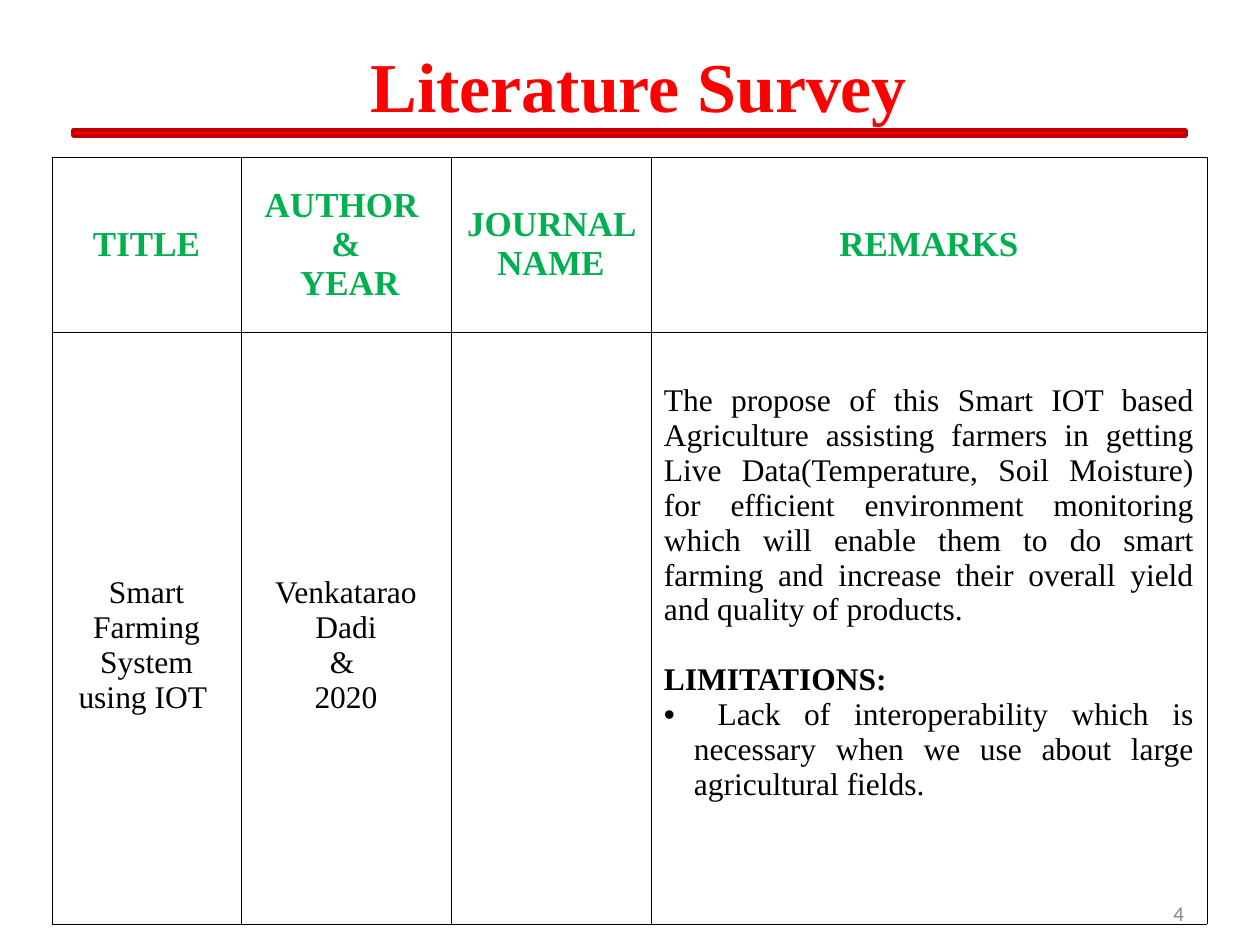
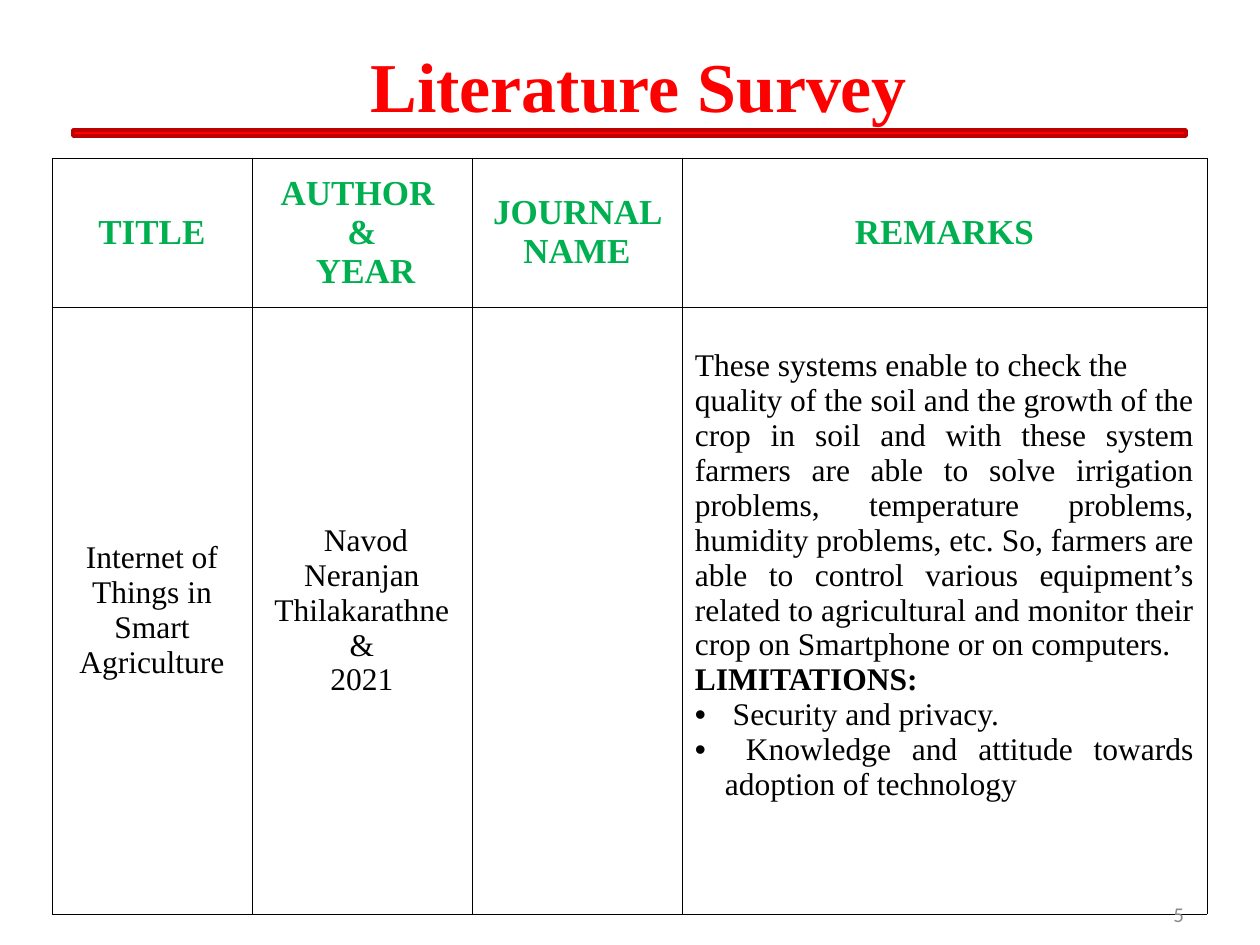
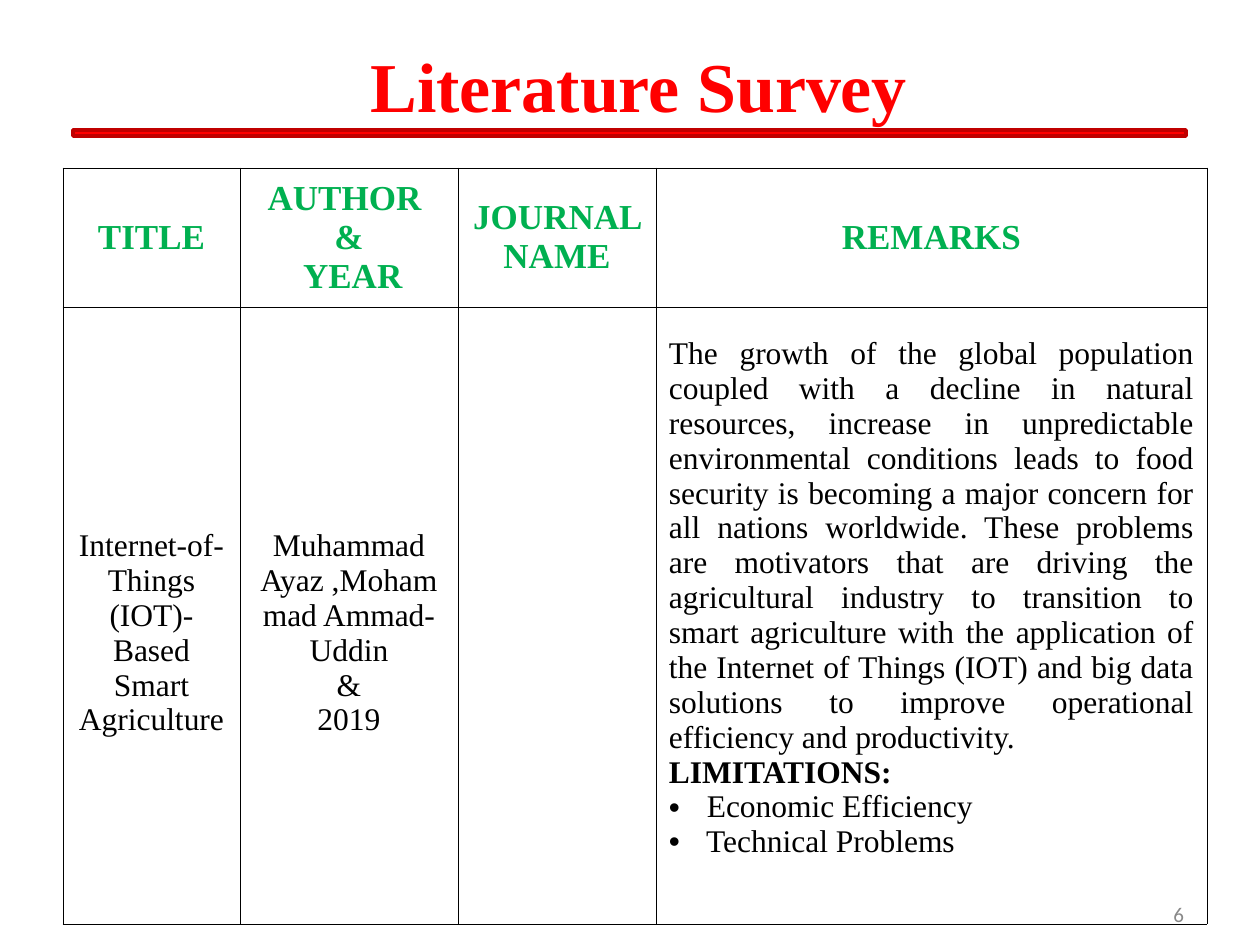
from pptx import Presentation
from pptx.dml.color import RGBColor
from pptx.enum.shapes import MSO_SHAPE
from pptx.enum.text import MSO_ANCHOR, MSO_AUTO_SIZE, PP_ALIGN
from pptx.oxml.ns import qn
from pptx.util import Emu, Pt
from lxml import etree

RED = RGBColor(0xFF, 0x00, 0x00)
DARK_RED = RGBColor(0xC0, 0x00, 0x00)
GREEN = RGBColor(0x00, 0xB0, 0x50)
BLACK = RGBColor(0x00, 0x00, 0x00)
GRAY = RGBColor(0x89, 0x89, 0x89)

RECTANGLE = MSO_SHAPE.RECTANGLE
MIDDLE = MSO_ANCHOR.MIDDLE
NO_AUTOFIT = MSO_AUTO_SIZE.NONE
CENTER = PP_ALIGN.CENTER
RIGHT = PP_ALIGN.RIGHT
JUSTIFY = PP_ALIGN.JUSTIFY

SERIF = "Times New Roman"
SANS = "Calibri"
EMU_PER_PX = 914400 / 126
BODY_LINE = 35
SIDE_INSET = 13
EDGE_INSET = 6
BULLET_INDENT = 30

HEADERS = [["TITLE"], ["AUTHOR ", "&", " YEAR"], ["JOURNAL NAME"], ["REMARKS"]]

SURVEYS = [
    {
        "page": 4,
        "number_box": (903, 882, 294, 63),
        "number_lead": 0,
        "origin": (52, 157),
        "columns": [189, 210, 200, 556],
        "rows": [175, 592],
        "work": ["Smart Farming System using IOT "],
        "work_lead": 1,
        "authors": ["Venkatarao Dadi", "& ", "2020"],
        "author_lead": 1,
        "remarks": [
            "The propose of this Smart IOT based Agriculture assisting farmers in "
            "getting Live Data(Temperature, Soil Moisture) for efficient environment "
            "monitoring which will enable them to do smart farming and increase their "
            "overall yield and quality of products."
        ],
        "limits_gap": 20,
        "limits": [
            " Lack of interoperability which is necessary when we use about large "
            "agricultural fields."
        ],
        "remarks_tail": 2,
    },
    {
        "page": 5,
        "number_box": (903, 876, 294, 50),
        "number_lead": 26,
        "origin": (52, 158),
        "columns": [200, 220, 210, 525],
        "rows": [149, 607],
        "work": ["Internet of Things in Smart Agriculture"],
        "work_lead": 0,
        "authors": [" Navod Neranjan Thilakarathne", "&", "2021"],
        "author_lead": 0,
        "remarks": [
            "These systems enable to check the ",
            "quality of the soil and the growth of the crop in soil and with these "
            "system farmers are able to solve irrigation problems, temperature "
            "problems, humidity problems, etc. So, farmers are able to control various "
            "equipment’s related to agricultural and monitor their crop on Smartphone "
            "or on computers.",
        ],
        "limits_gap": 0,
        "limits": [
            " Security and privacy.",
            " Knowledge and attitude towards adoption of technology",
        ],
        "remarks_tail": 2,
    },
    {
        "page": 6,
        "number_box": (903, 876, 294, 50),
        "number_lead": 26,
        "origin": (63, 168),
        "columns": [177, 218, 198, 551],
        "rows": [139, 617],
        "work": ["Internet-of-Things (IOT)-Based Smart Agriculture"],
        "work_lead": 1,
        "authors": ["Muhammad Ayaz ,Mohammad Ammad-Uddin", "&", "2019"],
        "author_lead": 1,
        "remarks": [
            "The growth of the global population coupled with a decline in natural "
            "resources, increase in unpredictable environmental conditions leads to "
            "food security is becoming a major concern for all nations worldwide. "
            "These problems are motivators that are driving the agricultural industry "
            "to transition to smart agriculture with the application of the Internet "
            "of Things (IOT) and big data solutions to improve operational efficiency "
            "and productivity."
        ],
        "limits_gap": 0,
        "limits": [" Economic Efficiency", " Technical Problems"],
        "remarks_tail": 1,
    },
]


def px(length):
    return Emu(round(length * EMU_PER_PX))


def write(para, text, font=SERIF, size=18, color=BLACK, bold=False, italic=False,
          align=CENTER, before=0):
    para.alignment = align
    para.space_before = Pt(before)
    span = para.add_run()
    span.text = text
    span.font.name = font
    span.font.size = Pt(size)
    span.font.color.rgb = color
    span.font.bold = bold
    span.font.italic = italic


def next_para(frame):
    first = frame.paragraphs[0]
    return frame.add_paragraph() if first.runs else first


def write_lines(frame, lines, **text_format):
    for line in lines:
        write(next_para(frame), line, **text_format)


def add_bullet(para):
    properties = para._p.get_or_add_pPr()
    properties.set("marL", str(px(BULLET_INDENT)))
    properties.set("indent", str(-px(BULLET_INDENT)))
    etree.SubElement(properties, qn("a:buFont")).set("typeface", "Arial")
    etree.SubElement(properties, qn("a:buChar")).set("char", "•")


def add_title(slide):
    title = slide.shapes.title
    title.left, title.top, title.width, title.height = map(px, (63, 0, 1134, 168))
    frame = title.text_frame
    frame.auto_size = NO_AUTOFIT
    frame.vertical_anchor = MIDDLE
    heading = {"size": 40, "color": RED, "bold": True}
    write(frame.paragraphs[0], " ", italic=True, **heading)
    write(frame.paragraphs[0], "Literature Survey", **heading)


def add_rule(slide):
    rule = slide.shapes.add_shape(RECTANGLE, *map(px, (73, 130, 1113, 6)))
    rule.shadow.inherit = False
    rule.fill.solid()
    rule.fill.fore_color.rgb = RED
    rule.line.color.rgb = DARK_RED
    rule.line.width = Pt(2)


def set_insets(area, lead=0, tail=0):
    area.vertical_anchor = MIDDLE
    area.margin_left = area.margin_right = px(SIDE_INSET)
    area.margin_top = px(EDGE_INSET + lead)
    area.margin_bottom = px(EDGE_INSET + tail)


def add_borders(cell):
    properties = cell._tc.get_or_add_tcPr()
    for side in ("a:lnL", "a:lnR", "a:lnT", "a:lnB"):
        line = etree.SubElement(properties, qn(side))
        line.set("w", str(Pt(0.45)))
        fill = etree.SubElement(line, qn("a:solidFill"))
        etree.SubElement(fill, qn("a:srgbClr")).set("val", str(BLACK))


def fill_remarks(cell, survey):
    frame = cell.text_frame
    write_lines(frame, survey["remarks"], align=JUSTIFY)
    write(next_para(frame), "LIMITATIONS:", bold=True, align=JUSTIFY,
          before=survey["limits_gap"])
    for limit in survey["limits"]:
        para = next_para(frame)
        write(para, limit, align=JUSTIFY)
        add_bullet(para)
    set_insets(cell, tail=survey["remarks_tail"] * BODY_LINE)


def add_survey_table(slide, survey):
    columns, rows = survey["columns"], survey["rows"]
    size = (sum(columns), sum(rows))
    table = slide.shapes.add_table(
        len(rows), len(columns), *map(px, survey["origin"] + size)).table
    table.first_row = table.horz_banding = False
    for column, width in zip(table.columns, columns):
        column.width = px(width)
    for row, height in zip(table.rows, rows):
        row.height = px(height)
    for cell in table.iter_cells():
        set_insets(cell)
        add_borders(cell)
        cell.fill.background()
    for index, lines in enumerate(HEADERS):
        write_lines(table.cell(0, index).text_frame, lines,
                    size=20, color=GREEN, bold=True)
    for index, name in enumerate(("work", "author")):
        cell = table.cell(1, index)
        lines = survey["work"] if name == "work" else survey["authors"]
        write_lines(cell.text_frame, lines)
        set_insets(cell, lead=survey[name + "_lead"] * BODY_LINE)
    fill_remarks(table.cell(1, 3), survey)


def add_page_number(slide, survey):
    box = slide.shapes.add_textbox(*map(px, survey["number_box"]))
    frame = box.text_frame
    frame.word_wrap = True
    set_insets(frame, lead=survey["number_lead"])
    write(frame.paragraphs[0], str(survey["page"]), font=SANS, size=12,
          color=GRAY, align=RIGHT)


def main():
    deck = Presentation()
    deck.slide_width, deck.slide_height = px(1260), px(945)
    title_only = deck.slide_layouts[5]
    for survey in SURVEYS:
        slide = deck.slides.add_slide(title_only)
        add_rule(slide)
        add_title(slide)
        add_survey_table(slide, survey)
        add_page_number(slide, survey)
    deck.save("out.pptx")


if __name__ == "__main__":
    main()
